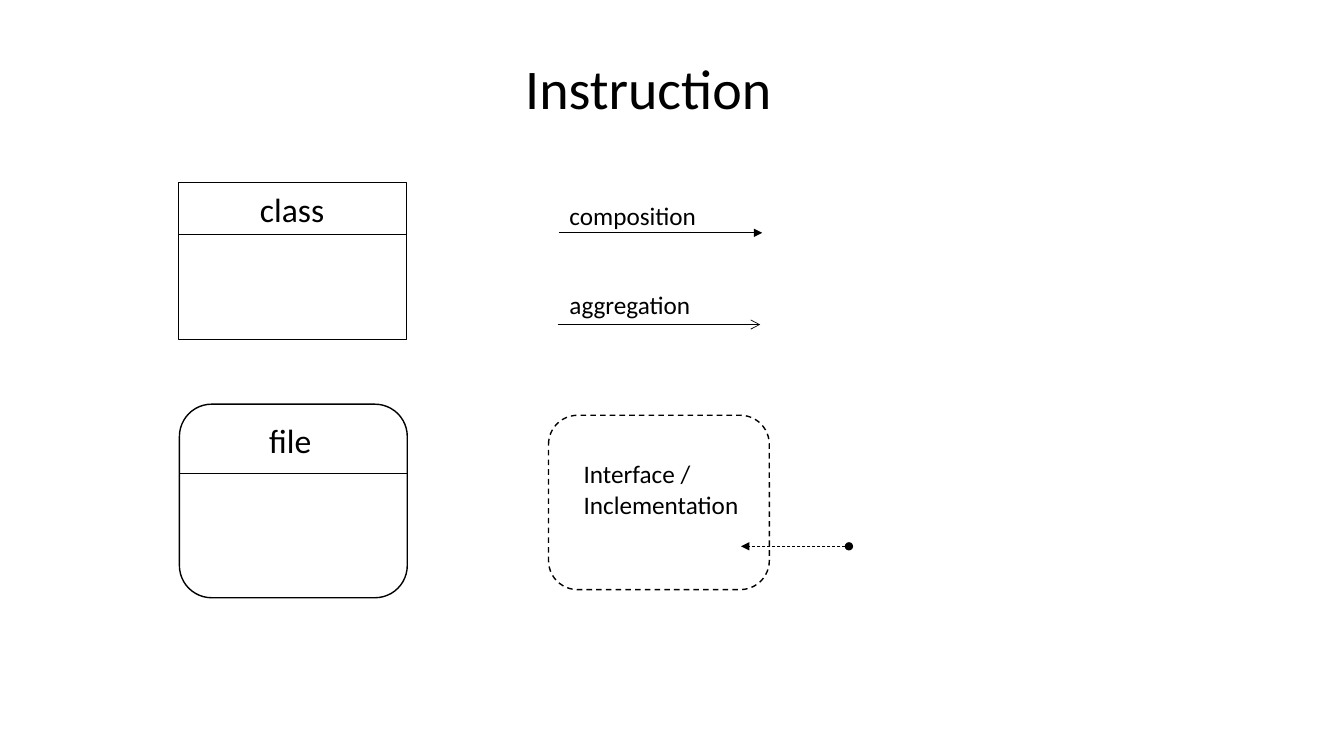
from lxml import etree
from pptx import Presentation
from pptx.dml.color import RGBColor
from pptx.enum.dml import MSO_LINE
from pptx.enum.shapes import MSO_CONNECTOR, MSO_SHAPE
from pptx.enum.text import MSO_ANCHOR, MSO_AUTO_SIZE, PP_ALIGN
from pptx.oxml.ns import qn
from pptx.util import Pt

STRAIGHT = MSO_CONNECTOR.STRAIGHT
RECTANGLE = MSO_SHAPE.RECTANGLE
ROUNDED = MSO_SHAPE.ROUNDED_RECTANGLE
DASH = MSO_LINE.DASH
CENTER = PP_ALIGN.CENTER
MIDDLE = MSO_ANCHOR.MIDDLE
GROW = MSO_AUTO_SIZE.SHAPE_TO_FIT_TEXT
NO_GROW = MSO_AUTO_SIZE.NONE

COLORS = {"ink": "000000", "paper": "FFFFFF"}
FONT = "Calibri"
EMU_PER_PX = 9144
TITLE_ONLY = 5


def px(*lengths):
    return [length * EMU_PER_PX for length in lengths]


def color(name):
    return RGBColor.from_string(COLORS[name])


def write(frame, lines, size, align=None):
    for index, line in enumerate(lines):
        para = frame.add_paragraph() if index else frame.paragraphs[0]
        if align is not None:
            para.alignment = align
        span = para.add_run()
        span.text = line
        span.font.size = Pt(size)
        span.font.name = FONT
        span.font.color.rgb = color("ink")


def add_label(shapes, box, lines, size, wrap=False):
    label = shapes.add_textbox(*px(*box))
    frame = label.text_frame
    frame.word_wrap = wrap
    frame.auto_size = GROW
    write(frame, lines, size)


def add_outline(shapes, kind, box, dash=None):
    outline = shapes.add_shape(kind, *px(*box))
    outline.shadow.inherit = False
    outline.fill.solid()
    outline.fill.fore_color.rgb = color("paper")
    outline.line.color.rgb = color("ink")
    outline.line.width = Pt(1)
    if dash is not None:
        outline.line.dash_style = dash


def add_line(shapes, start, end, head=None, tail=None, dash=None):
    connector = shapes.add_connector(STRAIGHT, *px(*start, *end))
    connector.line.color.rgb = color("ink")
    connector.line.width = Pt(0.5)
    if dash is not None:
        connector.line.dash_style = dash
    line = connector.line._get_or_add_ln()
    for tag, style in (("a:headEnd", head), ("a:tailEnd", tail)):
        if style:
            etree.SubElement(line, qn(tag)).set("type", style)
    etree.SubElement(connector._element.spPr, qn("a:effectLst"))


def add_title(slide, box, text):
    title = slide.shapes.title
    title.left, title.top, title.width, title.height = px(*box)
    frame = title.text_frame
    frame.auto_size = NO_GROW
    frame.vertical_anchor = MIDDLE
    write(frame, [text], 40, CENTER)


def add_divided_box(slide, box, kind, name, divider, label_box, wrap=False):
    left, top, width, height = box
    shapes = slide.shapes.add_group_shape().shapes
    add_outline(shapes, kind, box)
    add_line(shapes, (left, top + divider), (left + width, top + divider))
    label_left, label_top, label_width, label_height = label_box
    add_label(shapes, (left + label_left, top + label_top, label_width, label_height),
              [name], 24, wrap)


def add_relation(slide, box, name, tail, label_left):
    left, top, width, height = box
    shapes = slide.shapes.add_group_shape().shapes
    add_line(shapes, (left, top + height), (left + width, top + height), tail=tail)
    add_label(shapes, (left + label_left, top, 147, 40), [name], 18)


def add_interface(slide, box):
    left, top, width, height = box
    add_outline(slide.shapes, ROUNDED, box, DASH)
    arrow_y = top + 130
    add_line(slide.shapes, (left + width + 79, arrow_y), (left + width - 28, arrow_y),
             head="oval", tail="triangle", dash=DASH)
    add_label(slide.shapes, (left + 25, top + 38, 176, 101),
              ["Interface /", "Inclementation"], 18)


def main():
    deck = Presentation()
    deck.slide_width, deck.slide_height = px(1333, 750)
    slide = deck.slides.add_slide(deck.slide_layouts[TITLE_ONLY])
    add_title(slide, (303, 48, 680, 77), "Instruction")
    add_divided_box(slide, (177, 181, 226, 156), RECTANGLE, "class", 52, (71, 2, 85, 50))
    add_divided_box(slide, (178, 401, 226, 192), ROUNDED, "file", 69, (79, 11, 125, 50), True)
    add_relation(slide, (554, 194, 202, 37), "composition", "triangle", 1)
    add_relation(slide, (553, 282, 201, 40), "aggregation", "arrow", 2)
    add_interface(slide, (544, 412, 219, 173))
    deck.save("out.pptx")


if __name__ == "__main__":
    main()
